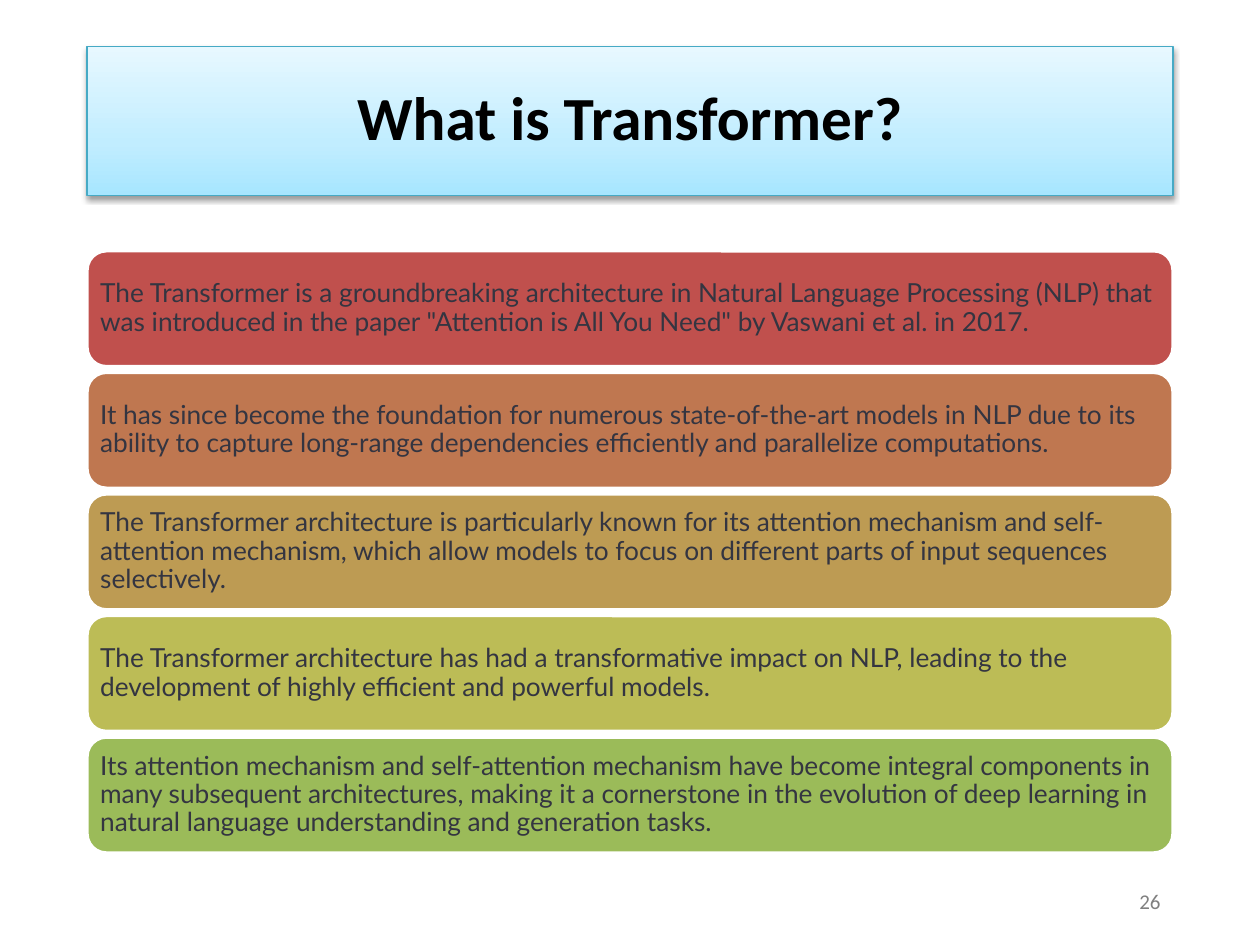
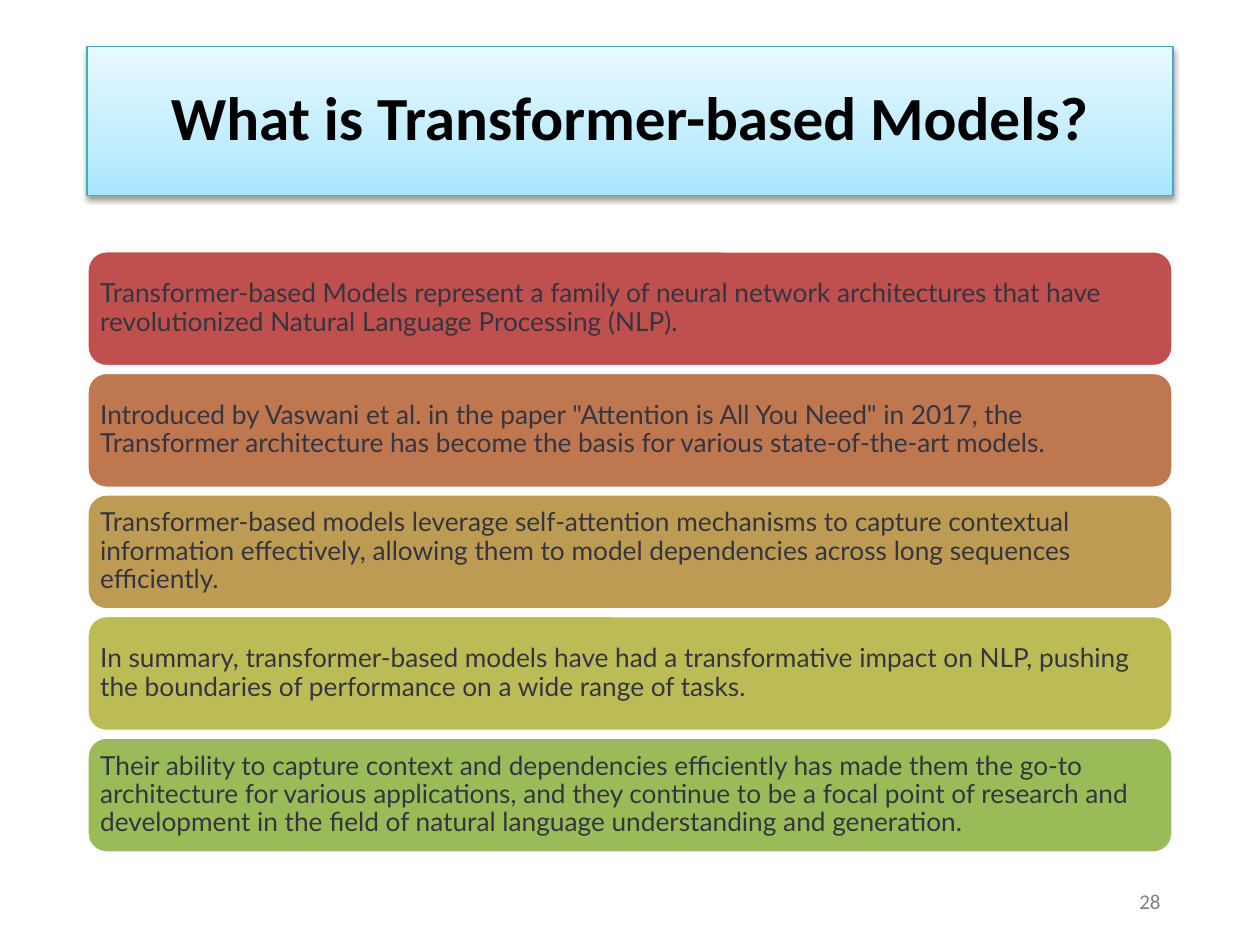
import pptx
import pptx.dml.color
import pptx.enum.shapes
import pptx.enum.text
import pptx.oxml
import pptx.oxml.ns
import pptx.util

RGB = pptx.dml.color.RGBColor
Inches = pptx.util.Inches
Pt = pptx.util.Pt
Align = pptx.enum.text.PP_ALIGN

SLIDES = [
    {
        "title": "What is Transformer?",
        "number": "26",
        "points": [
            "The Transformer is a groundbreaking architecture in Natural Language Processing (NLP) that was "
            "introduced in the paper \"Attention is All You Need\" by Vaswani et al. in 2017.",
            "It has since become the foundation for numerous state-of-the-art models in NLP due to its ability "
            "to capture long-range dependencies efficiently and parallelize computations.",
            "The Transformer architecture is particularly known for its attention mechanism and self-attention "
            "mechanism, which allow models to focus on different parts of input sequences selectively.",
            "The Transformer architecture has had a transformative impact on NLP, leading to the development "
            "of highly efficient and powerful models.",
            "Its attention mechanism and self-attention mechanism have become integral components in many "
            "subsequent architectures, making it a cornerstone in the evolution of deep learning in natural "
            "language understanding and generation tasks.",
        ],
    },
    {
        "title": "What is Transformer-based Models?",
        "number": "28",
        "points": [
            "Transformer-based Models represent a family of neural network architectures that have "
            "revolutionized Natural Language Processing (NLP).",
            "Introduced by Vaswani et al. in the paper \"Attention is All You Need\" in 2017, the Transformer "
            "architecture has become the basis for various state-of-the-art models.",
            "Transformer-based models leverage self-attention mechanisms to capture contextual information "
            "effectively, allowing them to model dependencies across long sequences efficiently.",
            "In summary, transformer-based models have had a transformative impact on NLP, pushing the "
            "boundaries of performance on a wide range of tasks.",
            "Their ability to capture context and dependencies efficiently has made them the go-to "
            "architecture for various applications, and they continue to be a focal point of research and "
            "development in the field of natural language understanding and generation.",
        ],
    },
]

BLACK = RGB(0x00, 0x00, 0x00)
WHITE = RGB(0xFF, 0xFF, 0xFF)
GREY = RGB(0x80, 0x80, 0x80)
INK = RGB(0x34, 0x35, 0x41)
BAND_LINE = RGB(0x46, 0xAA, 0xC5)
BAND_STOPS = [(0, RGB(0xA7, 0xE6, 0xFF)), (35, RGB(0xC1, 0xED, 0xFF)), (100, RGB(0xE7, 0xF8, 0xFF))]
CARD_FILLS = [
    RGB(0xC0, 0x50, 0x4D),
    RGB(0xBF, 0x77, 0x50),
    RGB(0xBD, 0x9B, 0x53),
    RGB(0xBC, 0xBC, 0x56),
    RGB(0x9B, 0xBB, 0x59),
]

WIDTH, HEIGHT = 10, 7.5
MARGIN = 0.69
CONTENT_WIDTH = WIDTH - 2 * MARGIN
BAND_TOP, BAND_HEIGHT = 0.37, 1.18
CARDS_TOP, CARD_HEIGHT, CARD_PITCH = 1.99, 0.92, 0.965
CARD_INSET = 0.06
NUMBER_TOP, NUMBER_WIDTH, NUMBER_HEIGHT = 6.95, 2.16, 0.4


def write(box, text, font, size, colour, align, bold=False, spacing=None, after=None):
    """Put one formatted, vertically centred paragraph into a shape."""
    frame = box.text_frame
    frame.word_wrap = True
    frame.auto_size = pptx.enum.text.MSO_AUTO_SIZE.NONE
    frame.vertical_anchor = pptx.enum.text.MSO_ANCHOR.MIDDLE
    para = frame.paragraphs[0]
    para.alignment = align
    para.line_spacing = spacing
    para.space_after = after
    span = para.add_run()
    span.text = text
    span.font.name = font
    span.font.size = Pt(size)
    span.font.bold = bold
    span.font.color.rgb = colour


def style_band(band):
    """Give the title its upward gradient, thin outline and soft shadow."""
    band.fill.gradient()
    band.fill.gradient_angle = 90
    namespace = pptx.oxml.ns.nsdecls("a")
    properties = band._element.spPr
    stops = properties.find(".//" + pptx.oxml.ns.qn("a:gsLst"))
    stops[:] = [
        pptx.oxml.parse_xml(f'<a:gs {namespace} pos="{share * 1000}"><a:srgbClr val="{colour}"/></a:gs>')
        for share, colour in BAND_STOPS
    ]
    band.line.color.rgb = BAND_LINE
    band.line.width = Pt(0.75)
    properties.append(pptx.oxml.parse_xml(
        f'<a:effectLst {namespace}>'
        f'<a:outerShdw blurRad="{Pt(3.1)}" dist="{Pt(1.6)}" dir="5400000" rotWithShape="0">'
        '<a:srgbClr val="000000"><a:alpha val="38000"/></a:srgbClr>'
        '</a:outerShdw></a:effectLst>'))


def add_title(page, text):
    band = page.shapes.title
    band.left, band.top = Inches(MARGIN), Inches(BAND_TOP)
    band.width, band.height = Inches(CONTENT_WIDTH), Inches(BAND_HEIGHT)
    style_band(band)
    write(band, text, "Calibri", 35, BLACK, Align.CENTER, bold=True, spacing=0.9, after=Pt(6))


def add_number(page, text):
    box = page.shapes.add_textbox(
        Inches(WIDTH - MARGIN - NUMBER_WIDTH), Inches(NUMBER_TOP), Inches(NUMBER_WIDTH), Inches(NUMBER_HEIGHT))
    write(box, text, "Calibri", 12, GREY, Align.RIGHT, after=Pt(6))


def add_card(page, row, text, colour):
    card = page.shapes.add_shape(
        pptx.enum.shapes.MSO_SHAPE.ROUNDED_RECTANGLE,
        Inches(MARGIN), Inches(CARDS_TOP + row * CARD_PITCH), Inches(CONTENT_WIDTH), Inches(CARD_HEIGHT))
    card.shadow.inherit = False
    card.fill.solid()
    card.fill.fore_color.rgb = colour
    card.line.color.rgb = WHITE
    card.line.width = Pt(2)
    frame = card.text_frame
    frame.margin_left = frame.margin_right = Inches(CARD_INSET)
    frame.margin_top = frame.margin_bottom = Inches(CARD_INSET)
    write(card, text, "Lato", 15, INK, Align.LEFT, spacing=0.9)


def main():
    deck = pptx.Presentation()
    deck.slide_width, deck.slide_height = Inches(WIDTH), Inches(HEIGHT)
    title_only = deck.slide_layouts.get_by_name("Title Only")
    for content in SLIDES:
        page = deck.slides.add_slide(title_only)
        add_title(page, content["title"])
        add_number(page, content["number"])
        for row, (text, colour) in enumerate(zip(content["points"], CARD_FILLS)):
            add_card(page, row, text, colour)
    deck.save("out.pptx")


if __name__ == "__main__":
    main()
